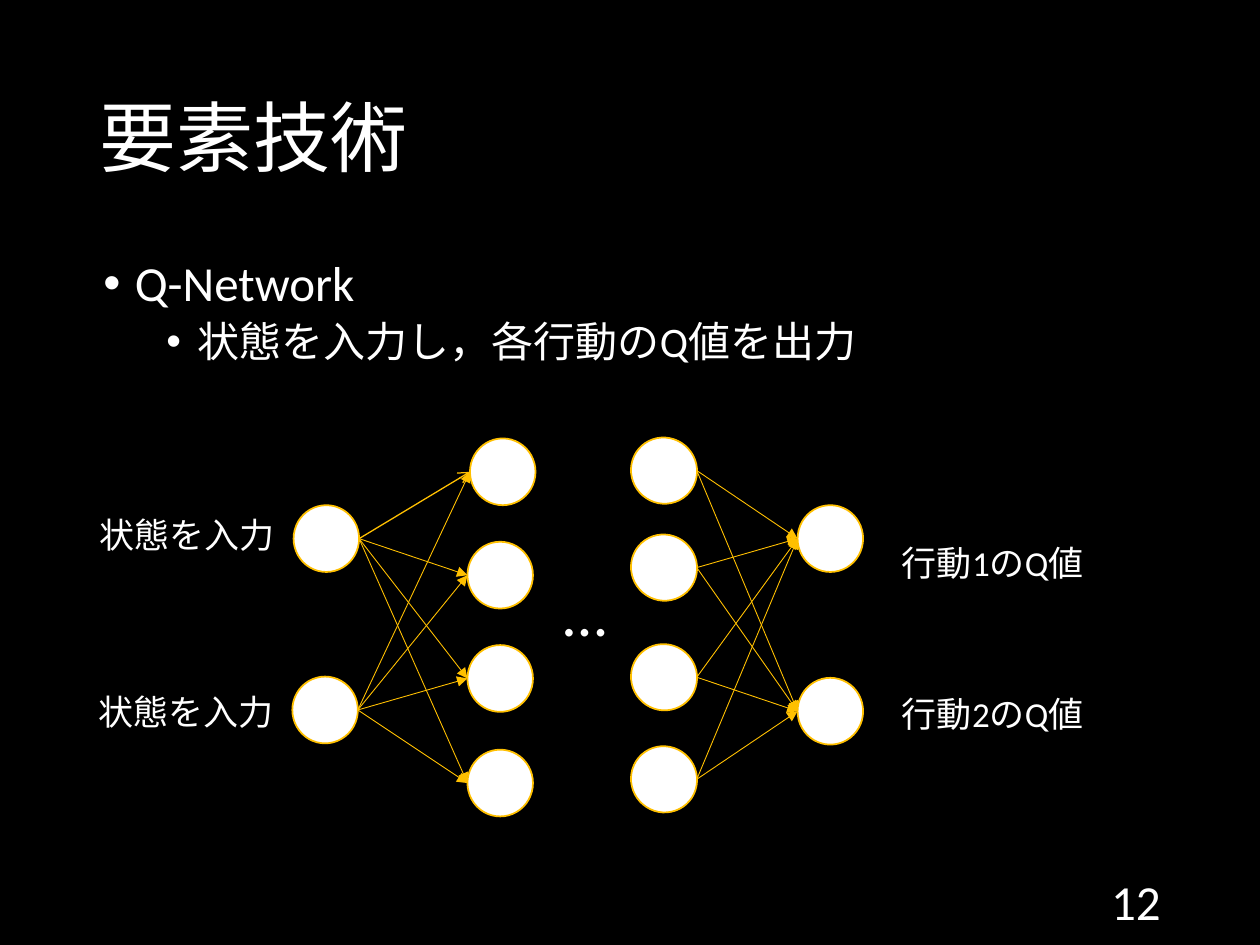
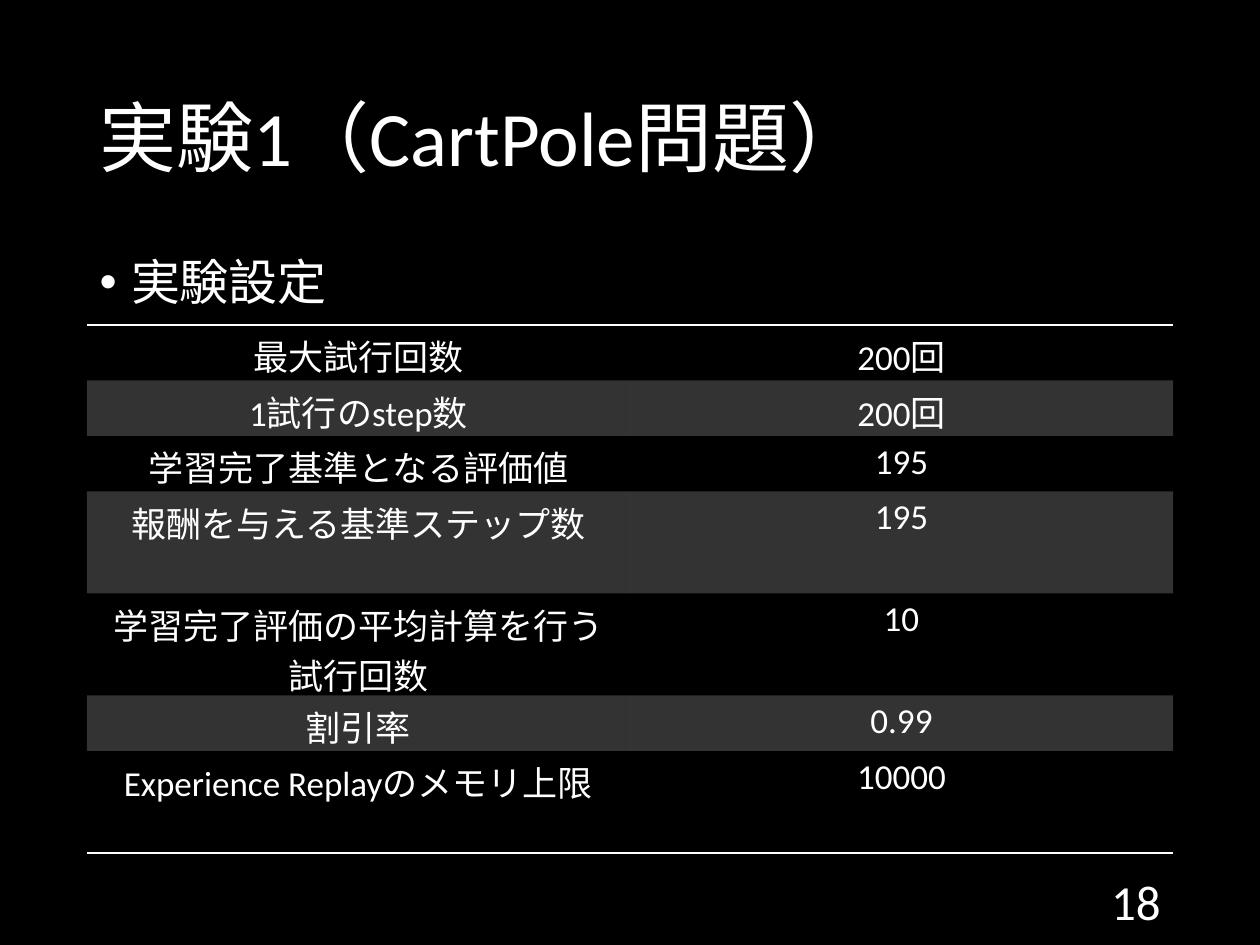
from dataclasses import dataclass
from itertools import product
from typing import NamedTuple

import lxml.etree
import pptx
import pptx.dml.color
import pptx.enum.shapes
import pptx.enum.text
import pptx.oxml
import pptx.oxml.ns
import pptx.util

Inches = pptx.util.Inches
Pt = pptx.util.Pt
RGB = pptx.dml.color.RGBColor
ALIGN = pptx.enum.text.PP_ALIGN
ANCHOR = pptx.enum.text.MSO_ANCHOR
qn = pptx.oxml.ns.qn


@dataclass(frozen=True)
class Theme:
    font: str = "Calibri"
    back: RGB = RGB(0x00, 0x00, 0x00)
    ink: RGB = RGB(0xFF, 0xFF, 0xFF)
    accent: RGB = RGB(0xFF, 0xC0, 0x00)
    band_alpha: int = 20
    title: int = 44
    body: int = 28
    sub: int = 24
    label: int = 20
    dots: int = 36
    number: int = 28


class Bullet(NamedTuple):
    text: str
    level: int = 0


class Label(NamedTuple):
    text: str
    x: float
    y: float
    w: float = 1.74
    h: float = 0.44
    size: int = Theme.label


class Node(NamedTuple):
    x: float
    y: float
    rotation: float = 0

    @property
    def left(self) -> tuple[float, float]:
        return self.x, self.y + NODE_H / 2

    @property
    def right(self) -> tuple[float, float]:
        return self.x + NODE_W, self.y + NODE_H / 2


THEME = Theme()
NODE_W, NODE_H = 0.52, 0.53
NO_GRID_STYLE = "{2D5ABB26-0587-4C30-8999-92F81FD0307C}"

INPUTS = [Node(2.33, 4.01), Node(2.32, 5.37)]
FIRST_HIDDEN = [Node(3.73, 3.48), Node(3.71, 4.3), Node(3.71, 5.12), Node(3.71, 5.95)]
LAST_HIDDEN = [Node(5.01, y, 137.9) for y in (3.47, 4.24, 5.11, 5.92)]
OUTPUTS = [Node(6.33, 4.01), Node(6.33, 5.38)]

LABELS = [
    Label("…", 4.37, 4.5, 0.65, 0.71, THEME.dots),
    Label("状態を入力", 0.69, 4.03),
    Label("状態を入力", 0.68, 5.43),
    Label("行動1のQ値", 7.06, 4.25),
    Label("行動2のQ値", 7.06, 5.45),
]

SETTINGS = [
    ("最大試行回数", "200回", 0.44),
    ("1試行のstep数", "200回", 0.44),
    ("学習完了基準となる評価値", "195", 0.44),
    ("報酬を与える基準ステップ数", "195", 0.81),
    ("学習完了評価の平均計算を行う試行回数", "10", 0.81),
    ("割引率", "0.99", 0.44),
    ("Experience Replayのメモリ上限", "10000", 0.81),
]


def style(p, size: int, align=ALIGN.LEFT) -> None:
    p.alignment = align
    p.font.name = THEME.font
    p.font.size = Pt(size)
    p.font.color.rgb = THEME.ink


def place(sp, x: float, y: float, w: float, h: float) -> None:
    sp.left, sp.top, sp.width, sp.height = map(Inches, (x, y, w, h))


def add_bullet(p, bullet: Bullet) -> None:
    p.text, p.level = bullet.text, bullet.level
    p.line_spacing = 0.9
    p.space_before = Pt(5 if bullet.level else 10)
    style(p, THEME.sub if bullet.level else THEME.body)
    pPr = p._p.get_or_add_pPr()
    pPr.set("marL", str(Inches(0.25 + 0.5 * bullet.level)))
    pPr.set("indent", str(Inches(-0.25)))
    mark = pptx.oxml.parse_xml(
        f'<a:buChar {pptx.oxml.ns.nsdecls("a")} char="•"/>')
    pPr.insert_element_before(mark, "a:tabLst", "a:defRPr", "a:extLst")


def add_label(s, label: Label) -> None:
    sp = s.shapes.add_textbox(*map(Inches, (label.x, label.y, label.w, label.h)))
    tf = sp.text_frame
    tf.word_wrap = True
    tf.auto_size = pptx.enum.text.MSO_AUTO_SIZE.SHAPE_TO_FIT_TEXT
    p = tf.paragraphs[0]
    p.text = label.text
    style(p, label.size)


def add_slide(prs, title: str, number: int, body_at: tuple[float, float],
              bullets: list[Bullet]):
    s = prs.slides.add_slide(prs.slide_layouts[1])
    s.background.fill.solid()
    s.background.fill.fore_color.rgb = THEME.back

    place(s.shapes.title, 0.69, 0.4, 8.62, 1.45)
    tf = s.shapes.title.text_frame
    tf.vertical_anchor = ANCHOR.MIDDLE
    p = tf.paragraphs[0]
    p.text = title
    p.line_spacing = 0.9
    style(p, THEME.title)

    body = s.placeholders[1]
    place(body, *body_at, 8.62, 4.76)
    tf = body.text_frame
    for i, bullet in enumerate(bullets):
        add_bullet(tf.add_paragraph() if i else tf.paragraphs[0], bullet)

    sp = s.shapes.add_textbox(*map(Inches, (7.06, 6.95, 2.25, 0.4)))
    tf = sp.text_frame
    tf.word_wrap = True
    tf.vertical_anchor = ANCHOR.MIDDLE
    p = tf.paragraphs[0]
    p.text = str(number)
    style(p, THEME.number, ALIGN.RIGHT)
    return s


def add_node(s, node: Node) -> None:
    sp = s.shapes.add_shape(pptx.enum.shapes.MSO_SHAPE.OVAL,
                            *map(Inches, (node.x, node.y, NODE_W, NODE_H)))
    sp.rotation = node.rotation
    sp.shadow.inherit = False
    sp.fill.solid()
    sp.fill.fore_color.rgb = THEME.ink
    sp.line.color.rgb = THEME.accent
    sp.line.width = Pt(1)


def add_arrow(s, start: Node, end: Node, width: float = 0.5,
              head: str = "triangle") -> None:
    cx = s.shapes.add_connector(pptx.enum.shapes.MSO_CONNECTOR.STRAIGHT,
                                *map(Inches, start.right + end.left))
    cx.line.color.rgb = THEME.accent
    cx.line.width = Pt(width)
    lxml.etree.SubElement(cx.line._get_or_add_ln(), qn("a:tailEnd"), type=head)
    lxml.etree.SubElement(cx._element.spPr, qn("a:effectLst"))


def add_rule(cell, edge: str) -> None:
    line = pptx.oxml.parse_xml(
        f'<a:{edge} {pptx.oxml.ns.nsdecls("a")} w="{Pt(1)}"><a:solidFill>'
        f'<a:srgbClr val="{THEME.ink}"/></a:solidFill></a:{edge}>')
    cell._tc.get_or_add_tcPr().insert(0, line)


def fill_band(cell) -> None:
    cell.fill.solid()
    cell.fill.fore_color.rgb = THEME.ink
    color = cell._tc.tcPr.find(".//" + qn("a:srgbClr"))
    lxml.etree.SubElement(color, qn("a:alpha"), val=str(THEME.band_alpha * 1000))


def add_settings_table(s) -> None:
    height = sum(row[2] for row in SETTINGS)
    frame = s.shapes.add_table(len(SETTINGS), 2,
                               *map(Inches, (0.69, 2.58, 8.62, height)))
    table = frame.table
    table.first_row = table.horz_banding = False
    frame._element.find(".//" + qn("a:tableStyleId")).text = NO_GRID_STYLE
    for i, (name, value, row_height) in enumerate(SETTINGS):
        table.rows[i].height = Inches(row_height)
        for cell, text in zip(table.rows[i].cells, (name, value)):
            cell.margin_left = cell.margin_right = Inches(0.07)
            cell.margin_top = cell.margin_bottom = Inches(0.04)
            p = cell.text_frame.paragraphs[0]
            p.text = text
            style(p, THEME.label, ALIGN.CENTER)
            if i % 2:
                fill_band(cell)
            else:
                cell.fill.background()
            if i == 0:
                add_rule(cell, "lnT")
            if i == len(SETTINGS) - 1:
                add_rule(cell, "lnB")


def build_network(prs) -> None:
    s = add_slide(prs, "要素技術", 12, (0.72, 2.01), [
        Bullet("Q-Network"), Bullet("状態を入力し，各行動のQ値を出力", 1)])
    for node in INPUTS + FIRST_HIDDEN + LAST_HIDDEN + OUTPUTS:
        add_node(s, node)
    first, *others = product(INPUTS, FIRST_HIDDEN)
    add_arrow(s, *first, width=0.75, head="arrow")
    for start, end in [*others, *product(LAST_HIDDEN, OUTPUTS)]:
        add_arrow(s, start, end)
    for label in LABELS:
        add_label(s, label)


def build_experiment(prs) -> None:
    s = add_slide(prs, "実験1（CartPole問題）", 18, (0.69, 2), [Bullet("実験設定")])
    add_settings_table(s)


def main() -> None:
    prs = pptx.Presentation()
    prs.slide_width, prs.slide_height = Inches(10), Inches(7.5)
    build_network(prs)
    build_experiment(prs)
    prs.save("out.pptx")


if __name__ == "__main__":
    main()
